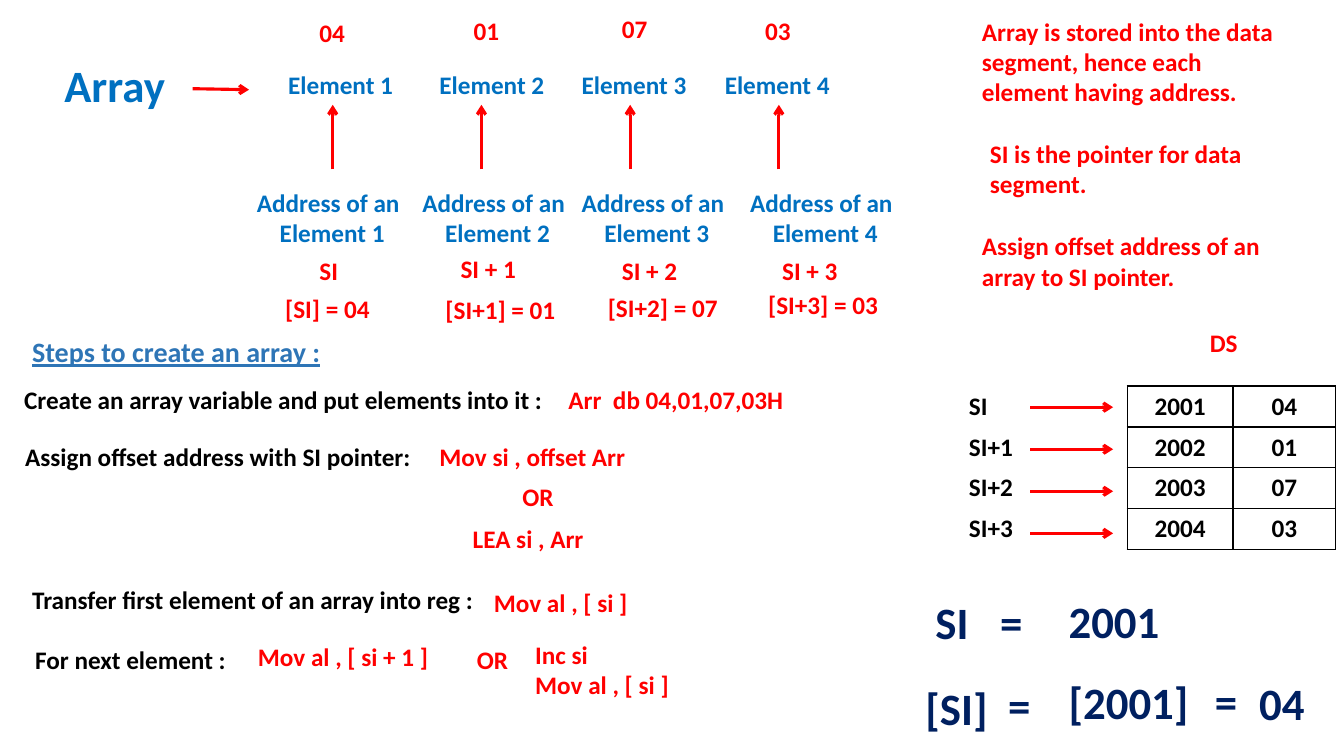
from dataclasses import dataclass

from lxml import etree
from pptx import Presentation
from pptx import util as u
from pptx.dml.color import RGBColor
from pptx.enum import shapes, text
from pptx.oxml import ns
from pptx.slide import Slide
from pptx.table import _Cell


@dataclass(frozen=True)
class Theme:
    font: str = "Calibri"
    red: str = "FF0000"
    blue: str = "0070C0"
    heading: str = "2E75B6"
    navy: str = "002060"
    black: str = "000000"
    body: int = 18
    subtitle: int = 20
    large: int = 32
    arrow_width: float = 2.25
    border_width: float = 1


@dataclass(frozen=True)
class Label:
    words: str
    column: float
    row: float
    columns: float
    color: str
    size: int = 18
    lines: int = 1
    wrap: bool = True
    centered: bool = False
    underline: bool = False


@dataclass(frozen=True)
class Element:
    value: str
    value_at: tuple[float, float]
    name_column: float
    address_column: float
    pointer_at: tuple[float, float]
    content_at: tuple[float, float]


THEME = Theme()
GRID = u.Inches(0.1)
NO_STYLE = "{2D5ABB26-0587-4C30-8999-92F81FD0307C}"

ELEMENTS = [
    Element("04", (30.7, 1.2), 27.6, 24.5, (30.7, 24.8), (27.3, 28.6)),
    Element("01", (46, 1), 42.6, 40.9, (44.7, 24.6), (43.2, 28.7)),
    Element("07", (60.7, 0.8), 56.7, 56.7, (60.7, 24.8), (59.3, 28.5)),
    Element("03", (74.9, 1), 70.9, 73.4, (76.6, 24.8), (75.2, 28.2)),
]

LABELS = [
    Label("Array", 5.4, 5.2, 12.1, THEME.blue, THEME.large, wrap=False),
    Label("Array is stored into the data segment, hence each element having address.",
          96.4, 1.1, 31.5, THEME.red, lines=3),
    Label("SI is the pointer for data segment.", 97.2, 13.2, 31.5, THEME.red, lines=2),
    Label("Assign offset address of an array to SI pointer.", 96.4, 22.4, 31.5, THEME.red, lines=2),
    Label("DS", 119, 32, 4.8, THEME.red, wrap=False),
    Label("Steps to create an array :", 2.2, 32.7, 39.2, THEME.heading, THEME.subtitle, underline=True),
    Label("Create an array variable and put elements into it :", 1.4, 37.6, 55.2, THEME.black),
    Label("Arr  db 04,01,07,03H", 55.4, 37.6, 27.6, THEME.red),
    Label("Assign offset address with SI pointer:", 1.5, 43.3, 41.1, THEME.black),
    Label("Mov si , offset Arr", 42.6, 43.3, 21.1, THEME.red),
    Label("OR", 42.8, 47.3, 21.1, THEME.red, centered=True),
    Label("LEA si , Arr", 45.9, 51.4, 14.7, THEME.red),
    Label("Transfer first element of an array into reg :", 2.2, 57.5, 50.9, THEME.black),
    Label("Mov al , [ si ]", 48, 57.8, 17.1, THEME.red),
    Label("For next element :", 2.5, 63.4, 22.2, THEME.black),
    Label("Mov al , [ si + 1 ]", 24.6, 63.1, 25.2, THEME.red),
    Label("OR", 44, 63.4, 9.7, THEME.red, centered=True),
    Label("Inc si\nMov al , [ si ]", 52.1, 62.9, 17.1, THEME.red, lines=2),
    Label("SI", 91.8, 58.5, 6.3, THEME.navy, THEME.large, wrap=False),
    Label("=", 98.2, 58.5, 5.3, THEME.navy, THEME.large, wrap=False),
    Label("2001", 105, 58.4, 11.8, THEME.navy, THEME.large),
    Label("[SI]", 90.8, 67, 8.2, THEME.navy, THEME.large),
    Label("=", 99, 66.7, 5.3, THEME.navy, THEME.large, wrap=False),
    Label("[2001]", 105, 66.4, 15.5, THEME.navy, THEME.large),
    Label("=", 119.5, 66.3, 5.3, THEME.navy, THEME.large, wrap=False),
    Label("04", 123.9, 66.5, 7.6, THEME.navy, THEME.large, wrap=False),
]


def span(units: float) -> u.Length:
    return u.Emu(round(units * GRID))


def write(frame: text.MSO_ANCHOR, words: str, *, color: str, size: int = THEME.body,
          centered: bool = False, underline: bool = False, last_indent: float = 0) -> None:
    lines = words.split("\n")
    for index, line in enumerate(lines):
        paragraph = frame.add_paragraph() if index else frame.paragraphs[0]
        if last_indent and index == len(lines) - 1:
            paragraph._p.get_or_add_pPr().set("marL", str(span(last_indent)))
        paragraph.alignment = text.PP_ALIGN.CENTER if centered else text.PP_ALIGN.LEFT
        run = paragraph.add_run()
        run.text = line
        run.font.name = THEME.font
        run.font.size = u.Pt(size)
        run.font.bold = True
        run.font.underline = underline or None
        run.font.color.rgb = RGBColor.from_string(color)


def draw_label(slide: Slide, label: Label, last_indent: float = 0) -> None:
    height = u.Pt(label.lines * label.size * 1.2) + GRID
    box = slide.shapes.add_textbox(span(label.column), span(label.row), span(label.columns), height)
    frame = box.text_frame
    frame.word_wrap = label.wrap
    frame.auto_size = text.MSO_AUTO_SIZE.SHAPE_TO_FIT_TEXT
    write(frame, label.words, color=label.color, size=label.size, centered=label.centered,
          underline=label.underline, last_indent=last_indent)


def draw_arrow(slide: Slide, start: tuple[float, float], end: tuple[float, float]) -> None:
    arrow = slide.shapes.add_connector(
        shapes.MSO_CONNECTOR.STRAIGHT, *(span(units) for units in (*start, *end)))
    arrow.line.color.rgb = RGBColor.from_string(THEME.red)
    arrow.line.width = u.Pt(THEME.arrow_width)
    etree.SubElement(arrow.line._get_or_add_ln(), ns.qn("a:tailEnd"), type="arrow")
    etree.SubElement(arrow._element.spPr, ns.qn("a:effectLst"))


def draw_element(slide: Slide, index: int, element: Element) -> None:
    name = f"Element {index + 1}"
    offset = str(index) if index else ""
    pointer = f"SI + {offset}" if offset else "SI"
    content = f"[SI+{offset}]" if offset else "[SI]"
    arrow_column = 33 + 14.75 * index
    draw_label(slide, Label(element.value, *element.value_at, 4.6, THEME.red, wrap=False))
    draw_label(slide, Label(name, element.name_column, 6.4, 12.5, THEME.blue, wrap=False))
    draw_arrow(slide, (arrow_column, 16.8), (arrow_column, 10.4))
    draw_label(slide, Label(f"Address of an\n{name}", element.address_column, 18.1, 16.9,
                            THEME.blue, lines=2, wrap=False), last_indent=2.26)
    draw_label(slide, Label(pointer, *element.pointer_at, 10.4, THEME.red))
    draw_label(slide, Label(f"{content} = {element.value}", *element.content_at, 13.2, THEME.red))


def add_borders(cell: _Cell) -> None:
    properties = cell._tc.get_or_add_tcPr()
    for side in ("lnL", "lnR", "lnT", "lnB"):
        border = etree.SubElement(properties, ns.qn(f"a:{side}"), w=str(u.Pt(THEME.border_width)))
        fill = etree.SubElement(border, ns.qn("a:solidFill"))
        etree.SubElement(fill, ns.qn("a:srgbClr"), val=THEME.black)


def draw_memory(slide: Slide) -> None:
    widths = (16.7, 10.5, 10.2)
    row_height = 4.06
    graphic = slide.shapes.add_table(
        len(ELEMENTS), len(widths), span(95.1), span(38.3),
        span(sum(widths)), span(row_height * len(ELEMENTS)))
    table = graphic.table
    table.first_row = table.horz_banding = False
    table._tbl.tblPr.find(ns.qn("a:tableStyleId")).text = NO_STYLE
    for column, width in zip(table.columns, widths):
        column.width = span(width)
    for index, element in enumerate(ELEMENTS):
        table.rows[index].height = span(row_height)
        pointer = f"SI+{index}" if index else "SI"
        for position, words in enumerate((pointer, str(2001 + index), element.value)):
            cell = table.cell(index, position)
            write(cell.text_frame, words, color=THEME.black, centered=position > 0)
            if position:
                add_borders(cell)
            cell.fill.background()
        arrow_row = 40.4 + 4.17 * index
        draw_arrow(slide, (102.2, arrow_row), (110.4, arrow_row))


def main() -> None:
    presentation = Presentation()
    presentation.slide_width = u.Inches(13.33)
    presentation.slide_height = u.Inches(7.5)
    slide = presentation.slides.add_slide(presentation.slide_layouts[6])
    for index, element in enumerate(ELEMENTS):
        draw_element(slide, index, element)
    draw_arrow(slide, (19.1, 8.8), (24.7, 8.9))
    draw_memory(slide)
    for label in LABELS:
        draw_label(slide, label)
    presentation.save("out.pptx")


if __name__ == "__main__":
    main()
